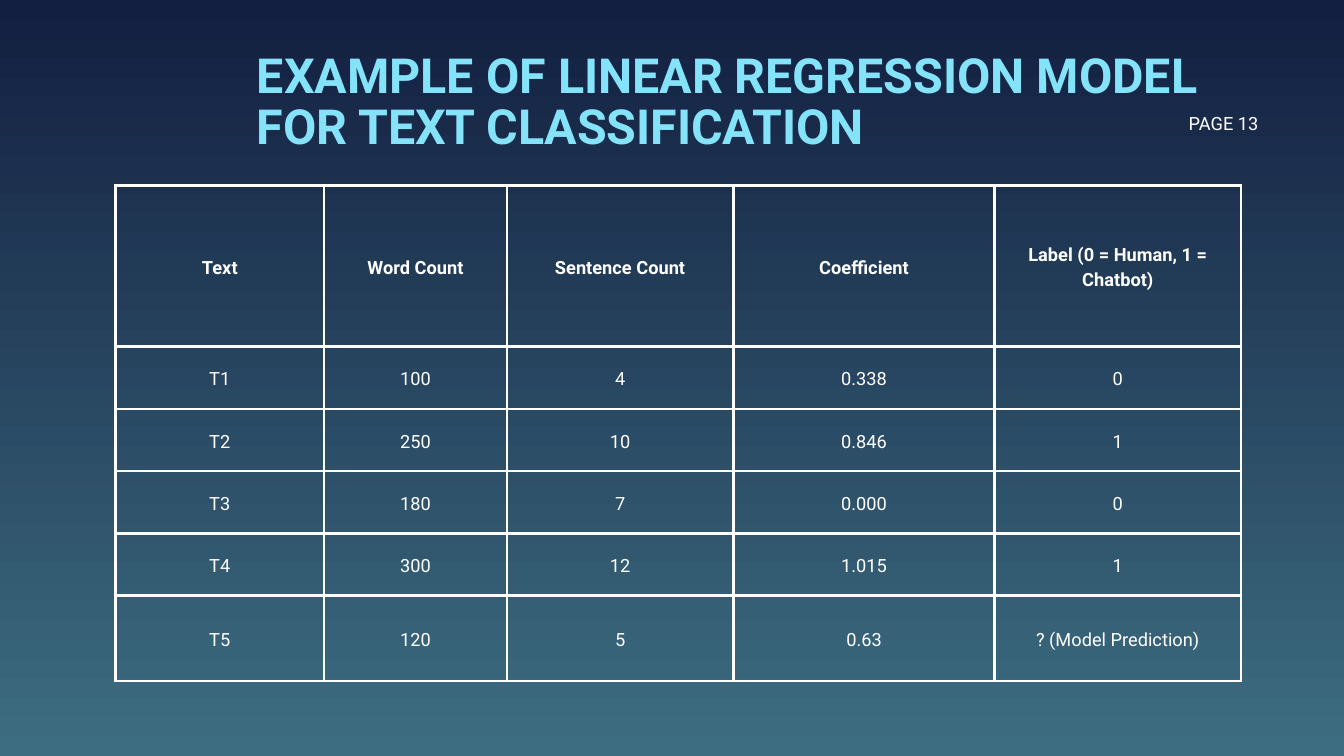
import pptx
import pptx.util
import pptx.dml.color
import pptx.enum.text
import pptx.oxml
import pptx.oxml.ns

PX = 9525  # EMU per px, slide is 1920 x 1080
THEME = {
    "font": "Roboto", "top": "131F40", "base": "3D6D81",
    "head": "84E3F8", "text": "FFFFFF",
    "title": 51.8, "body": 19.5, "rule": 3,
}
Pt = pptx.util.Pt
ALIGN = pptx.enum.text.PP_ALIGN
MIDDLE = pptx.enum.text.MSO_ANCHOR.MIDDLE


def style(para, size, color, lead, bold=False):
    para.line_spacing = Pt(lead)
    font = para.font
    font.name, font.size, font.bold = THEME["font"], Pt(size), bold
    font.color.rgb = pptx.dml.color.RGBColor.from_string(color)


def label(box, text, size, color, lead, bold=False):
    frame = slide.shapes.add_textbox(*[n * PX for n in box]).text_frame
    frame.word_wrap = True
    frame.margin_left = frame.margin_right = 0
    frame.margin_top = frame.margin_bottom = 0
    frame.text = text
    style(frame.paragraphs[0], size, color, lead, bold)


deck = pptx.Presentation()
deck.slide_width, deck.slide_height = 1920 * PX, 1080 * PX
slide = deck.slides.add_slide(deck.slide_layouts[6])

# Background, dark at the top
fill = slide.background.fill
fill.gradient()
fill.gradient_angle = 270
for stop, name in zip(fill.gradient_stops, ("top", "base")):
    stop.color.rgb = pptx.dml.color.RGBColor.from_string(THEME[name])

# Table
rows = [
    ("Text", "Word Count", "Sentence Count", "Coefficient",
     "Label (0 = Human, 1 = Chatbot)"),
    ("T1", "100", "4", "0.338", "0"),
    ("T2", "250", "10", "0.846", "1"),
    ("T3", "180", "7", "0.000", "0"),
    ("T4", "300", "12", "1.015", "1"),
    ("T5", "120", "5", "0.63", "? (Model Prediction)"),
]
widths = [298, 261, 324, 373, 352]
heights = [230] + [89] * 4 + [122]
grid = slide.shapes.add_table(
    len(rows), len(widths), 165 * PX, 265 * PX,
    sum(widths) * PX, sum(heights) * PX).table
grid.first_row = grid.horz_banding = False
for col, width in zip(grid.columns, widths):
    col.width = width * PX
for row, height in zip(grid.rows, heights):
    row.height = height * PX

for r, row in enumerate(rows):
    for c, text in enumerate(row):
        cell = grid.cell(r, c)
        cell.text = text
        cell.vertical_anchor = MIDDLE
        cell.margin_left = cell.margin_right = 20 * PX
        cell.margin_top = cell.margin_bottom = 20 * PX
        para = cell.text_frame.paragraphs[0]
        para.alignment = ALIGN.CENTER
        style(para, THEME["body"], THEME["text"], 27.3, bold=r == 0)
        # Borders come before the fill in the cell's XML
        props = cell._tc.get_or_add_tcPr()
        for side in "LRTB":
            props.append(pptx.oxml.parse_xml(
                f'<a:ln{side} {pptx.oxml.ns.nsdecls("a")} w="{Pt(THEME["rule"])}">'
                f'<a:solidFill><a:srgbClr val="{THEME["text"]}"/></a:solidFill>'
                f'</a:ln{side}>'))
        cell.fill.background()

# Page number and title
label((1698, 164, 149, 28), "PAGE 13", THEME["body"], THEME["text"], 20.7)
label((367, 74, 1405, 148),
      "EXAMPLE OF LINEAR REGRESSION MODEL FOR TEXT CLASSIFICATION",
      THEME["title"], THEME["head"], 54.9, bold=True)

deck.save("out.pptx")
